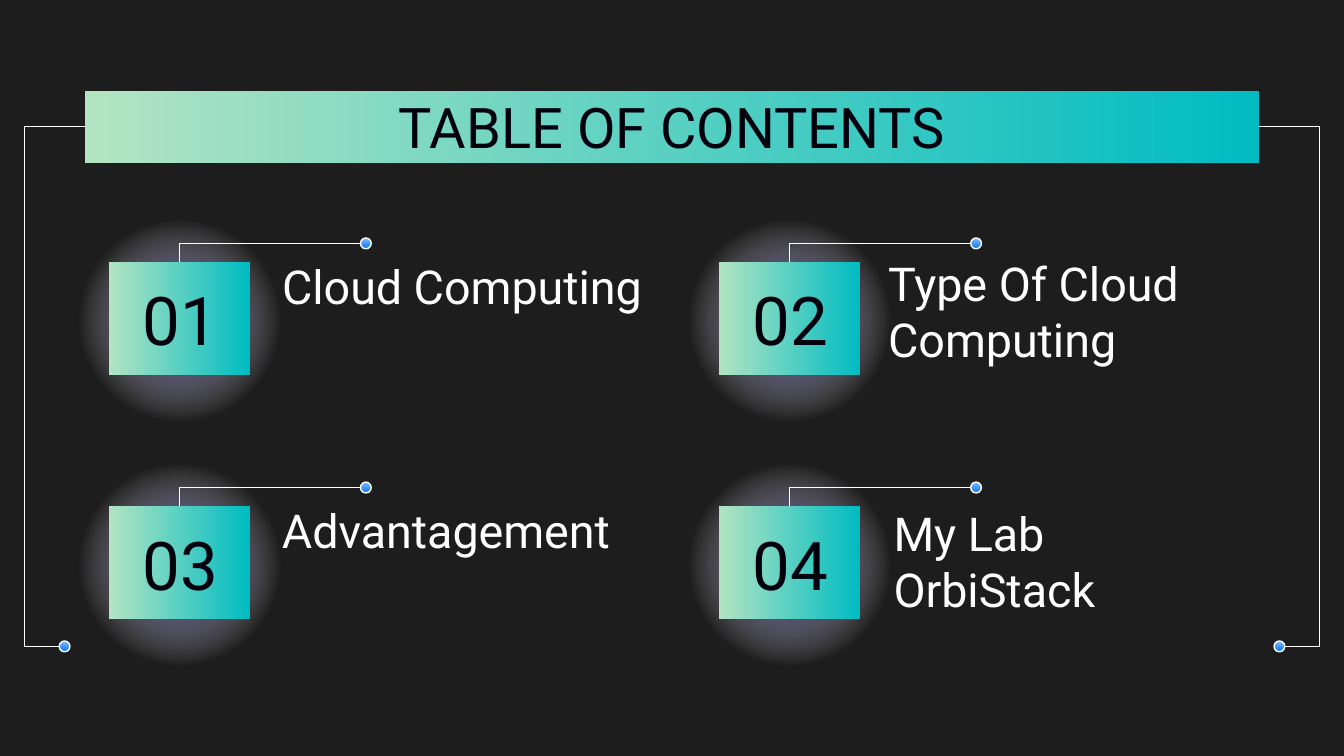
"""Builds a dark table of contents slide with four numbered topics."""
from dataclasses import dataclass

from lxml import etree
from pptx import Presentation
from pptx.dml.color import RGBColor
from pptx.enum import shapes, text
from pptx.oxml import ns
from pptx.util import Pt


@dataclass(frozen=True)
class Theme:
    """Holds the colours, font and type sizes."""
    back: str = "1D1D1D"
    ink: str = "00000D"
    light: str = "FFFFFF"
    glow: str = "170F8D"
    band: tuple = ("00BCC2", "B2E4C2")
    bead: tuple = ("82BCFE", "0C77F1")
    font: str = "Roboto"
    head: int = 30
    mark: int = 36
    label: int = 25
    rule: float = 0.75
    dot: float = 5.8


LOOK = Theme()
LEFT, MID = text.PP_ALIGN.LEFT, text.PP_ALIGN.CENTER
TOP, CORE = text.MSO_ANCHOR.TOP, text.MSO_ANCHOR.MIDDLE
RECT, OVAL = shapes.MSO_SHAPE.RECTANGLE, shapes.MSO_SHAPE.OVAL
TOPICS = [
    ("01", "Cloud Computing", (111.6, 21.8, 228)),
    ("02", "Type Of Cloud Computing", (109.4, 35.3, 193.7)),
    ("03", "Advantagement", (111.6, 22, 222)),
    ("04", "My Lab\vOrbiStack", (112.3, 38.5, 193.7)),
]


def put(item, form):
    """Set each attribute of item from a dict."""
    for name, value in form.items():
        setattr(item, name, value)


def node(root, tag, **attrs):
    """Add a DrawingML child to root."""
    return etree.SubElement(root, ns.qn(f"a:{tag}"), attrs)


def shape(slide, kind, box):
    """Add a plain shape with no shadow or line."""
    form = slide.shapes.add_shape(kind, *map(Pt, box))
    form.shadow.inherit = False
    form.line.fill.background()
    return form


def blend(slide, kind, box, hues, angle):
    """Add a shape with a linear two-colour gradient."""
    form = shape(slide, kind, box)
    form.fill.gradient()
    form.fill.gradient_angle = angle
    for spot, (stop, hue) in enumerate(zip(form.fill.gradient_stops, hues)):
        stop.color.rgb = RGBColor.from_string(hue)
        stop.position = spot
    return form


def halo(slide, box):
    """Add a round glow that fades outwards."""
    form = shape(slide, OVAL, box)
    form.fill.gradient()
    grad = form.element.spPr.find(ns.qn("a:gradFill"))
    for child in list(grad):
        grad.remove(child)
    stops = node(grad, "gsLst")
    for pos, hue, alpha in ((0, LOOK.glow, 100), (61, LOOK.light, 0), (100, LOOK.light, 0)):
        tint = node(node(stops, "gs", pos=str(pos * 1000)), "srgbClr", val=hue)
        node(tint, "alpha", val=str(alpha * 1000))
    node(node(grad, "path", path="circle"), "fillToRect", l="50000", t="50000", r="50000", b="50000")


def bead(slide, x, y):
    """Add a small outlined dot centred on x, y."""
    size = LOOK.dot
    form = blend(slide, OVAL, (x - size / 2, y - size / 2, size, size), LOOK.bead, 270)
    form.line.color.rgb = RGBColor.from_string(LOOK.light)
    form.line.width = Pt(LOOK.rule)


def elbow(slide, start, end, bend=None):
    """Add a bent line with one corner, or two when bend is given."""
    line = slide.shapes.add_connector(shapes.MSO_CONNECTOR.ELBOW, *map(Pt, start + end))
    line.line.color.rgb = RGBColor.from_string(LOOK.light)
    line.line.width = Pt(LOOK.rule)
    props = line.element.spPr
    geom = props.find(ns.qn("a:prstGeom"))
    if bend is None:
        geom.set("prst", "bentConnector2")
    else:
        guides = geom.find(ns.qn("a:avLst"))
        node(guides, "gd", name="adj1", fmla=f"val {round(bend * 100000)}")
    node(props, "effectLst")


def write(slide, box, words, size, hue, align, anchor):
    """Add a wrapped text box."""
    frame = slide.shapes.add_textbox(*map(Pt, box)).text_frame
    put(frame, {"word_wrap": True, "vertical_anchor": anchor, "text": words})
    put(frame, {f"margin_{side}": Pt(7.2) for side in ("left", "top", "right", "bottom")})
    para = frame.paragraphs[0]
    para.alignment = align
    for run in para.runs:
        put(run.font, {"name": LOOK.font, "size": Pt(size)})
        run.font.color.rgb = RGBColor.from_string(hue)


def banner(slide, box):
    """Place the title on its gradient band."""
    x, y, w, h = box
    blend(slide, RECT, box, LOOK.band, 180)
    write(slide, (x + 11.3, y - 6.5, w - 22.6, h + 7.2), "TABLE OF CONTENTS",
          LOOK.head, LOOK.ink, MID, TOP)


def frame(slide, box):
    """Place the bracket lines down both sides."""
    x, y, w, h = box
    foot, arm = 18.7, 32.4
    for edge, side in ((x, 1), (x + w, -1)):
        start = edge + side * foot
        elbow(slide, (start, y + h), (edge + side * arm, y), -foot / (arm - foot))
        bead(slide, start + side * LOOK.dot / 2, y + h)


def topic(slide, box, mark, label, spot):
    """Place one numbered topic with its glow, tile and label."""
    x, y, w, h = box
    halo(slide, box)
    tile = (x + 25.9, y + 30.3, 75.6, 60.5)
    blend(slide, RECT, tile, LOOK.band, 180)
    write(slide, (x + 32.4, y + 39.8, 63.4, 41.8), mark, LOOK.mark, LOOK.ink, MID, CORE)
    dx, dy, wide = spot
    write(slide, (x + dx, y + dy, wide, 41.8), label, LOOK.label, LOOK.light, LEFT, CORE)
    tip = x + 160.7
    elbow(slide, (tip, y + 20.2), (x + w / 2, y + 30.3))
    bead(slide, tip + LOOK.dot / 2, y + 20.2)


def main():
    """Build and save the slide."""
    deck = Presentation()
    put(deck, {"slide_width": Pt(720), "slide_height": Pt(405)})
    slide = deck.slides.add_slide(deck.slide_layouts[6])
    slide.background.fill.solid()
    slide.background.fill.fore_color.rgb = RGBColor.from_string(LOOK.back)
    banner(slide, (45.4, 49, 629.3, 38.2))
    frame(slide, (13, 67.7, 694, 278.6))
    for spot, parts in enumerate(TOPICS):
        row, col = divmod(spot, 2)
        topic(slide, (32.4 + col * 326.9, 110.2 + row * 130.8, 127.4, 123.1), *parts)
    deck.save("out.pptx")


if __name__ == "__main__":
    main()
